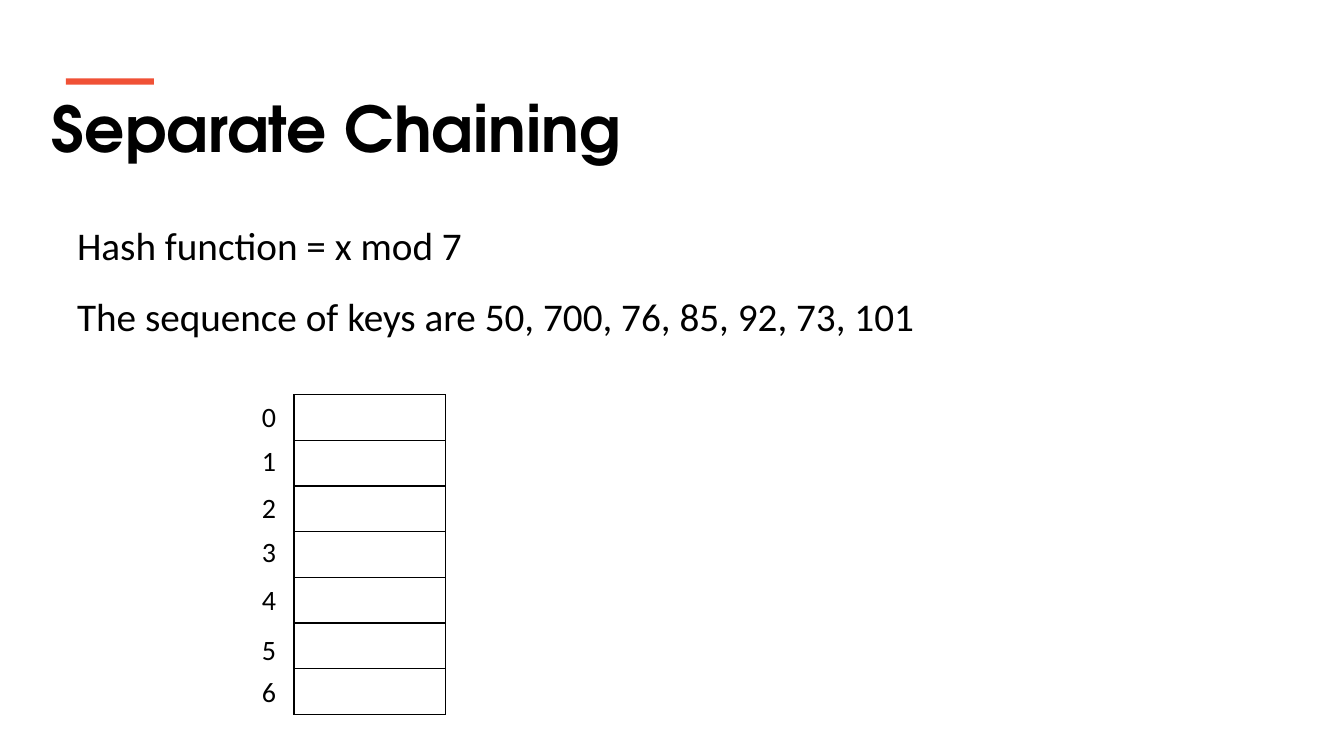
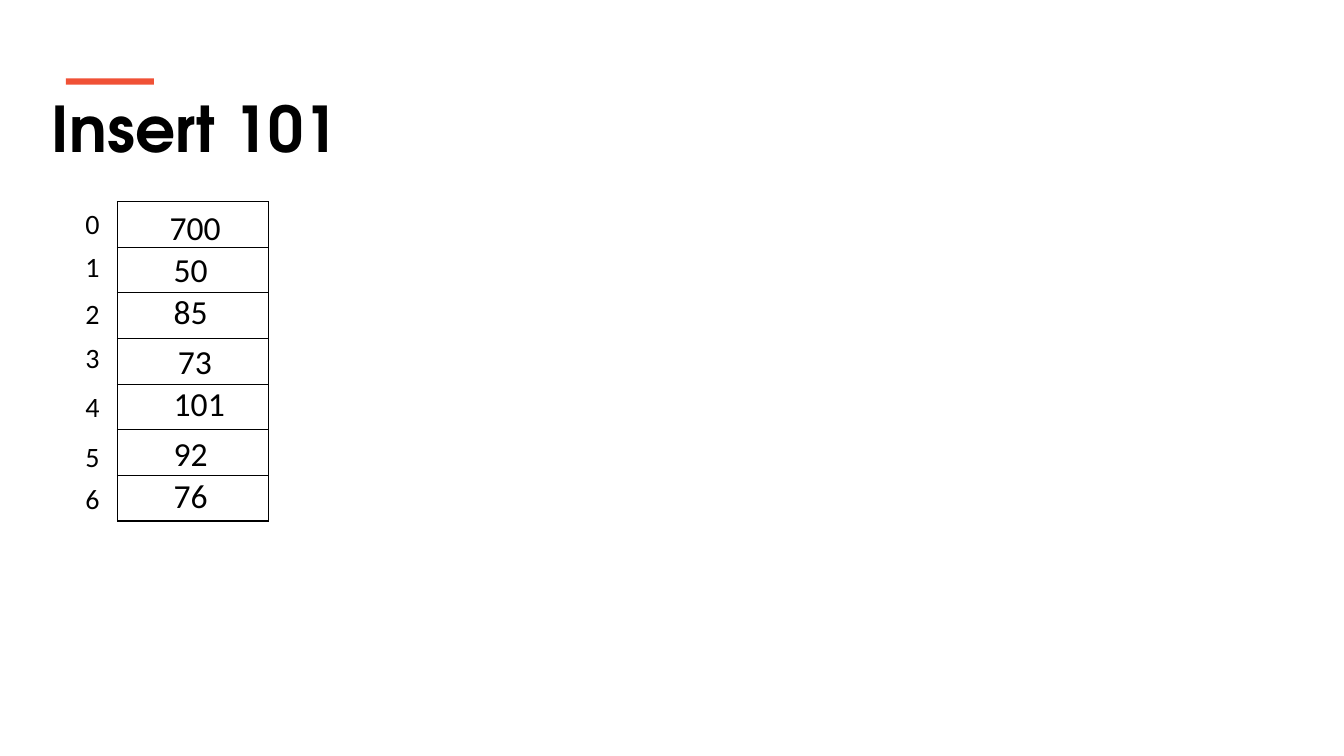
from lxml import etree
from pptx import Presentation
from pptx.dml.color import RGBColor
from pptx.enum.shapes import MSO_SHAPE
from pptx.enum.text import MSO_AUTO_SIZE
from pptx.oxml.ns import qn
from pptx.util import Pt

BLACK = RGBColor(0x00, 0x00, 0x00)
ACCENT = RGBColor(0xF0, 0x51, 0x36)
TITLE_FONT = "TeX Gyre Adventor"
BODY_FONT = "Calibri"
BUCKETS = 7
ROW_H = 32.6
INDEX_OFFSETS = [0, 31, 64.5, 96, 130.5, 166.5, 196.5]


def add_text(s, text, x, y, w, h, size, font=BODY_FONT, bold=False, wrap=False, spacing=None):
    tf = s.shapes.add_textbox(Pt(x), Pt(y), Pt(w), Pt(h)).text_frame
    tf.word_wrap = wrap
    tf.auto_size = MSO_AUTO_SIZE.SHAPE_TO_FIT_TEXT
    tf.text = text
    for p in tf.paragraphs:
        p.line_spacing = spacing
        for r in p.runs:
            r.font.name = font
            r.font.size = Pt(size)
            r.font.bold = bold
            r.font.color.rgb = BLACK


def add_hash_table(s, x, y):
    table = s.shapes.add_table(BUCKETS, 1, Pt(x), Pt(y), Pt(108), Pt(ROW_H * BUCKETS)).table
    table.first_row = False
    table.horz_banding = False
    for row, offset in enumerate(INDEX_OFFSETS):
        table.rows[row].height = Pt(ROW_H)
        cell = table.cell(row, 0)
        tcPr = cell._tc.get_or_add_tcPr()
        for side in ("a:lnL", "a:lnR", "a:lnT", "a:lnB"):
            ln = etree.SubElement(tcPr, qn(side), w=str(Pt(1)))
            fill = etree.SubElement(ln, qn("a:solidFill"))
            etree.SubElement(fill, qn("a:srgbClr"), val=str(BLACK))
        cell.fill.background()
        add_text(s, str(row), x - 30, y + offset, 24.5, 31.5, 20)


prs = Presentation()
prs.slide_width = Pt(960)
prs.slide_height = Pt(540)

slides = []
for title in ("Separate Chaining", "Insert 101"):
    s = prs.slides.add_slide(prs.slide_layouts[6])
    add_text(s, title, 30, 60.5, 877, 62, 45, TITLE_FONT, bold=True, wrap=True)
    sp = s.shapes.add_shape(MSO_SHAPE.RECTANGLE, Pt(47), Pt(56), Pt(63), Pt(4.5))
    sp.shadow.inherit = False
    sp.fill.solid()
    sp.fill.fore_color.rgb = ACCENT
    sp.line.fill.background()
    slides.append(s)

intro, insert = slides

add_text(
    intro,
    "Hash function = x mod 7\nThe sequence of keys are 50, 700, 76, 85, 92, 73, 101",
    48, 138, 864, 109, 28, wrap=True, spacing=1.5,
)
add_hash_table(intro, 210, 282)

add_hash_table(insert, 84, 144)
keys = [
    ("700", 114, 144),
    ("50", 117, 174),
    ("85", 117, 204),
    ("73", 120, 240),
    ("101", 117, 270),
    ("92", 117, 306),
    ("76", 117, 336),
]
for key, x, y in keys:
    add_text(insert, key, x, y, 14.4 + 12.2 * len(key), 36, 24)

prs.save("out.pptx")
